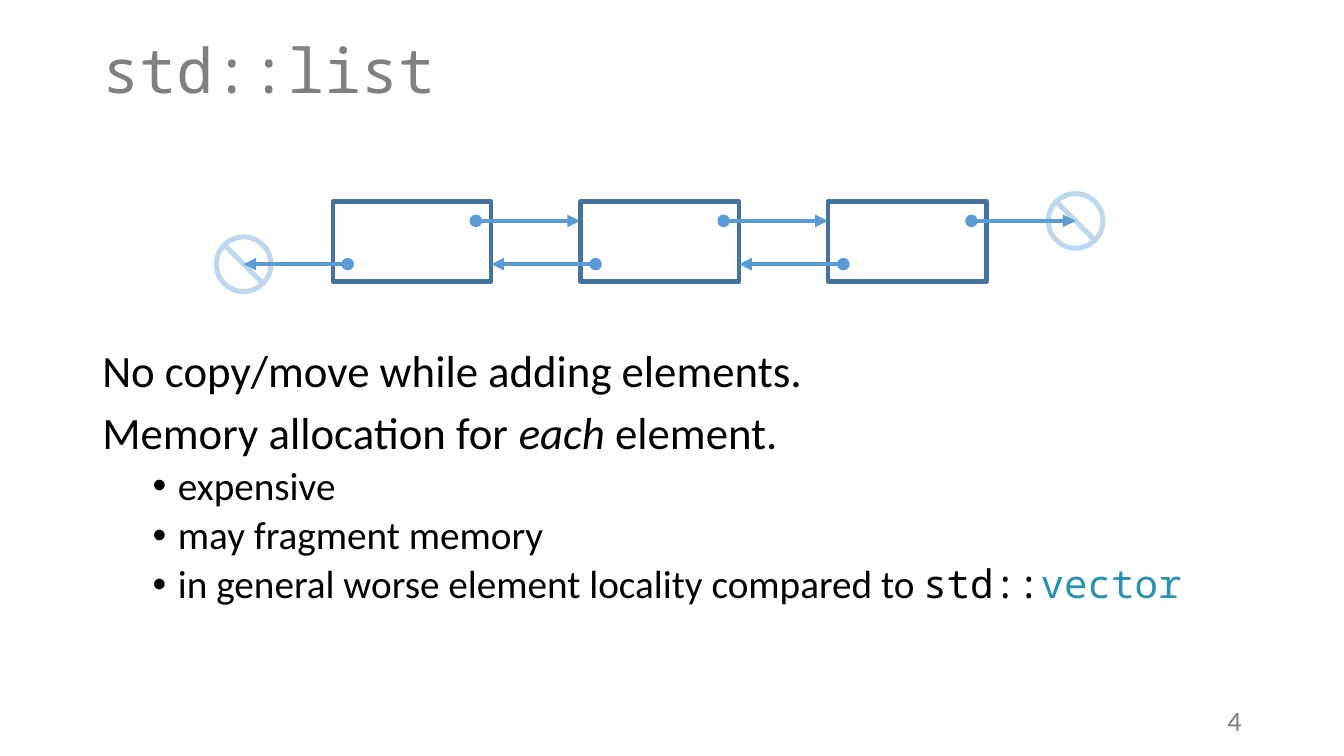
from lxml import etree
from pptx import Presentation
from pptx import util as u
from pptx.dml import color
from pptx.enum import shapes, text
from pptx.oxml import ns

COLORS = {
    "background": "FFFFFF",
    "gray": "808080",
    "black": "000000",
    "type": "2B91AF",
    "node": "43739E",
    "pointer": "5B9BD5",
    "null": "BDD7EE",
}
SANS, MONO = "Calibri", "Noto Sans Mono"
COLUMNS, ROWS = 32, 18


class ListSlide:
    line_width = u.Pt(3)

    def __init__(self, presentation):
        self.column = presentation.slide_width / COLUMNS
        self.row = presentation.slide_height / ROWS
        self.slide = presentation.slides.add_slide(presentation.slide_layouts[5])
        self.slide.background.fill.solid()
        self.slide.background.fill.fore_color.rgb = self.rgb("background")

    def rgb(self, name):
        return color.RGBColor.from_string(COLORS[name])

    def place(self, *lengths):
        units = (self.column, self.row) * 2
        return [round(length * unit) for length, unit in zip(lengths, units)]

    def format_run(self, run, size, name="black", font=SANS, italic=False):
        run.font.size = u.Pt(size)
        run.font.name = font
        run.font.italic = italic
        run.font.color.rgb = self.rgb(name)

    def title(self, words, *area):
        shape = self.slide.shapes.title
        shape.left, shape.top, shape.width, shape.height = self.place(*area)
        shape.text_frame.text = words
        shape.text_frame.vertical_anchor = text.MSO_ANCHOR.MIDDLE
        paragraph = shape.text_frame.paragraphs[0]
        paragraph.alignment = text.PP_ALIGN.LEFT
        paragraph.line_spacing = 0.9
        self.format_run(paragraph.runs[0], 44, "gray", MONO)

    def text_box(self, *area):
        frame = self.slide.shapes.add_textbox(*self.place(*area)).text_frame
        frame.word_wrap = True
        return frame

    def body(self, lines, *area):
        frame = self.text_box(*area)
        for index, (level, runs) in enumerate(lines):
            paragraph = frame.paragraphs[0] if index == 0 else frame.add_paragraph()
            paragraph.line_spacing = 0.9
            paragraph.space_before = u.Pt((10, 5)[level] if index else 0)
            if level:
                self.bullet(paragraph)
            for words, style in runs:
                run = paragraph.add_run()
                run.text = words
                self.format_run(run, (32, 28)[level], **style)

    def bullet(self, paragraph):
        paragraph.level = 1
        properties = paragraph._p.get_or_add_pPr()
        properties.set("marL", str(u.Inches(0.75)))
        properties.set("indent", str(u.Inches(-0.25)))
        etree.SubElement(properties, ns.qn("a:buFont"), typeface="Arial")
        etree.SubElement(properties, ns.qn("a:buChar"), char="•")

    def page_number(self, words, *area):
        frame = self.text_box(*area)
        frame.text = words
        frame.vertical_anchor = text.MSO_ANCHOR.MIDDLE
        frame.paragraphs[0].alignment = text.PP_ALIGN.RIGHT
        self.format_run(frame.paragraphs[0].runs[0], 20, "gray")

    def filled_shape(self, kind, fill, *area):
        shape = self.slide.shapes.add_shape(kind, *self.place(*area))
        shape.shadow.inherit = False
        shape.fill.solid()
        shape.fill.fore_color.rgb = self.rgb(fill)
        return shape

    def null_sign(self, x, y, size=1.42):
        shape = self.filled_shape(shapes.MSO_SHAPE.NO_SYMBOL, "null",
                                  x - size / 2, y - size / 2, size, size)
        shape.adjustments[0] = 0.084
        shape.line.fill.background()

    def node(self, *area):
        shape = self.filled_shape(shapes.MSO_SHAPE.FLOWCHART_PROCESS, "background", *area)
        shape.line.color.rgb = self.rgb("node")
        shape.line.width = self.line_width

    def pointer(self, start, end, y):
        connector = self.slide.shapes.add_connector(
            shapes.MSO_CONNECTOR.STRAIGHT, *self.place(start, y, end, y))
        connector.line.color.rgb = self.rgb("pointer")
        connector.line.width = self.line_width
        properties = connector._element.spPr
        line = properties.find(ns.qn("a:ln"))
        etree.SubElement(line, ns.qn("a:headEnd"), type="oval")
        etree.SubElement(line, ns.qn("a:tailEnd"), type="triangle")
        etree.SubElement(properties, ns.qn("a:effectLst"))


def draw_list(slide):
    left, top, width, height, pitch = 7.92, 4.8, 3.77, 1.9, 5.9
    inset, reach, count = 0.36, 2.48, 3
    next_y, previous_y = 5.26, 6.29
    lefts = [left + index * pitch for index in range(count)]

    slide.null_sign(lefts[-1] + width - inset + reach, next_y)
    slide.null_sign(left + inset - reach, previous_y)
    for x in lefts:
        slide.node(x, top, width, height)
        next_x, previous_x = x + width - inset, x + inset
        slide.pointer(next_x, next_x + reach, next_y)
        slide.pointer(previous_x, previous_x - reach, previous_y)


def main():
    presentation = Presentation()
    presentation.slide_width = u.Inches(13.33)
    presentation.slide_height = u.Inches(7.5)
    slide = ListSlide(presentation)
    slide.title("std::list", 2.2, 0, 27.6, 3.48)
    slide.body([
        (0, [("No copy/move while adding elements.", {})]),
        (0, [("Memory allocation for ", {}), ("each", {"italic": True}), (" element.", {})]),
        (1, [("expensive", {})]),
        (1, [("may fragment memory", {})]),
        (1, [("in general worse element locality compared to ", {}),
             ("std::", {"font": MONO}),
             ("vector", {"font": MONO, "name": "type"})]),
    ], 2.2, 8.18, 27.6, 8.35)
    draw_list(slide)
    slide.page_number("4", 22.6, 16.68, 7.2, 0.96)
    presentation.save("out.pptx")


if __name__ == "__main__":
    main()
